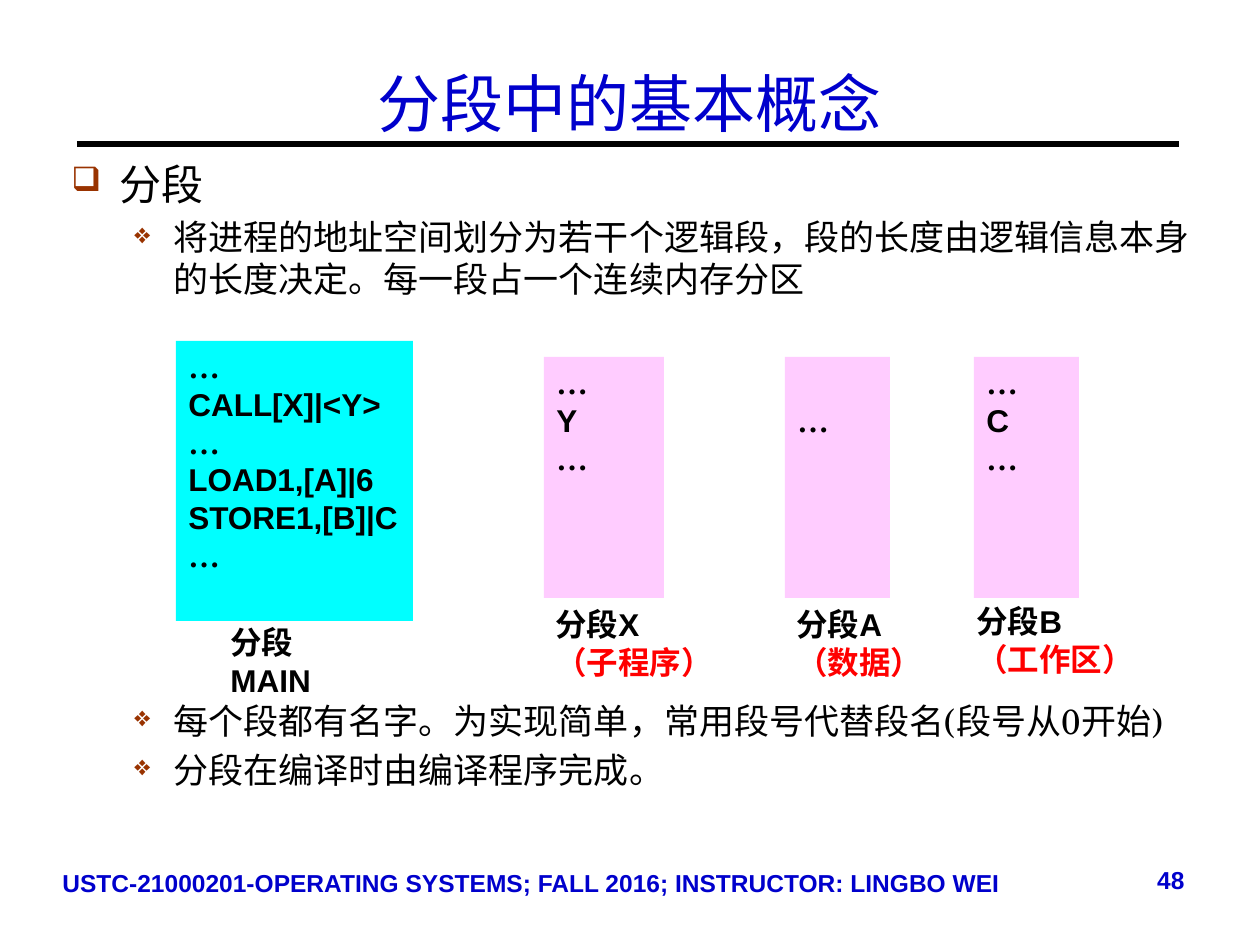
import dataclasses

import lxml.etree
import pptx
import pptx.dml.color
import pptx.enum.shapes
import pptx.enum.text
import pptx.oxml.ns
import pptx.util

PX = 914400 // 126
ALIGN = pptx.enum.text.PP_ALIGN
ANCHOR = pptx.enum.text.MSO_ANCHOR


@dataclasses.dataclass(frozen=True)
class Theme:
    """Colours, fonts and type sizes of the slide."""
    ink: str = "000000"
    blue: str = "0000CC"
    bullet: str = "993300"
    note: str = "FF0000"
    main_fill: str = "00FFFF"
    segment_fill: str = "FFCCFF"
    serif: str = "Times New Roman"
    sans: str = "Arial"
    body: str = "TeX Gyre Schola"
    title_size: int = 36
    topic_size: int = 24
    point_size: int = 20
    segment_size: int = 18
    footer_size: int = 14


THEME = Theme()


def px(*lengths):
    """Turn pixel lengths into EMU."""
    return [length * PX for length in lengths]


def rgb(colour):
    """Turn a hex string into a colour."""
    return pptx.dml.color.RGBColor.from_string(colour)


def write(paragraph, text, font, size, colour=THEME.ink, bold=False):
    """Fill a paragraph with text in one style."""
    paragraph.add_run().text = text
    style = paragraph.font
    style.name, style.size, style.bold = font, pptx.util.Pt(size), bold
    style.color.rgb = rgb(colour)


def paragraphs(frame, count):
    """Return the given number of paragraphs of a new text frame."""
    return [frame.paragraphs[0]] + [frame.add_paragraph() for _ in range(count - 1)]


def add_text(slide, box, anchor=ANCHOR.TOP):
    """Add a wrapping text box and return its frame."""
    frame = slide.shapes.add_textbox(*px(*box)).text_frame
    frame.word_wrap = True
    frame.vertical_anchor = anchor
    return frame


def add_label(slide, box, text, font, size, bold=True, align=ALIGN.LEFT, anchor=ANCHOR.TOP):
    """Add a single blue line of text."""
    paragraph = add_text(slide, box, anchor).paragraphs[0]
    paragraph.alignment = align
    write(paragraph, text, font, size, THEME.blue, bold)


def add_rule(slide, left, right, y):
    """Add the thick line under the title."""
    rule = slide.shapes.add_connector(
        pptx.enum.shapes.MSO_CONNECTOR.STRAIGHT, *px(left, y, right, y))
    rule.line.color.rgb = rgb(THEME.ink)
    rule.line.width = pptx.util.Pt(3)
    lxml.etree.SubElement(rule.element.spPr, pptx.oxml.ns.qn("a:effectLst"))


def set_bullet(paragraph, char, margin, hang):
    """Give a paragraph a hanging coloured bullet."""
    properties = paragraph.element.get_or_add_pPr() if hasattr(paragraph, "element") \
        else paragraph._p.get_or_add_pPr()
    properties.set("marL", str(margin * PX))
    properties.set("indent", str(-hang * PX))
    qn = pptx.oxml.ns.qn
    colour = lxml.etree.SubElement(properties, qn("a:buClr"))
    lxml.etree.SubElement(colour, qn("a:srgbClr"), val=THEME.bullet)
    lxml.etree.SubElement(properties, qn("a:buSzPct"), val="80000")
    lxml.etree.SubElement(properties, qn("a:buChar"), char=char)


def add_bullets(slide, box, items):
    """Add a list of (level, text) bullet items."""
    levels = [("❑", 48, 48, THEME.topic_size), ("❖", 102, 39, THEME.point_size)]
    frame = add_text(slide, box)
    for paragraph, (level, text) in zip(paragraphs(frame, len(items)), items):
        char, margin, hang, size = levels[level]
        paragraph.space_before = pptx.util.Pt(size // 5)
        set_bullet(paragraph, char, margin, hang)
        write(paragraph, text, THEME.body, size)


def add_segment(slide, box, fill, lines, skipped=0):
    """Add a memory segment whose text starts after some skipped lines."""
    segment = slide.shapes.add_shape(pptx.enum.shapes.MSO_SHAPE.RECTANGLE, *px(*box))
    segment.shadow.inherit = False
    segment.fill.solid()
    segment.fill.fore_color.rgb = rgb(fill)
    segment.line.fill.background()
    frame = segment.text_frame
    frame.word_wrap = True
    frame.vertical_anchor = ANCHOR.TOP
    frame.margin_top, frame.margin_right = px(6 + 38 * skipped, 6)
    for paragraph, line in zip(paragraphs(frame, len(lines)), lines):
        paragraph.alignment = ALIGN.LEFT
        font = THEME.serif if line == "…" else THEME.sans
        write(paragraph, line, font, THEME.segment_size, bold=True)


def add_caption(slide, box, name, role=None):
    """Add a segment name with its role in red below."""
    lines = [(name, THEME.ink)] + ([(role, THEME.note)] if role else [])
    frame = add_text(slide, box)
    for paragraph, (text, colour) in zip(paragraphs(frame, len(lines)), lines):
        write(paragraph, text, THEME.sans, THEME.segment_size, colour, bold=True)


def main():
    """Build the slide and save it."""
    deck = pptx.Presentation()
    deck.slide_width, deck.slide_height = px(1260, 945)
    slide = deck.slides.add_slide(deck.slide_layouts[6])

    add_rule(slide, 77, 1179, 144)
    add_label(slide, (63, 24, 1134, 157), "分段中的基本概念", THEME.serif,
              THEME.title_size, False, ALIGN.CENTER, ANCHOR.MIDDLE)
    add_bullets(slide, (59, 152, 1150, 160), [
        (0, "分段"),
        (1, "将进程的地址空间划分为若干个逻辑段，段的长度由逻辑信息本身的长度决定。每一段占一个连续内存分区"),
    ])
    add_bullets(slide, (59, 693, 1150, 155), [
        (1, "每个段都有名字。为实现简单，常用段号代替段名(段号从0开始)"),
        (1, "分段在编译时由编译程序完成。"),
    ])

    add_segment(slide, (176, 341, 237, 280), THEME.main_fill,
                ["…", "CALL[X]|<Y>", "…", "LOAD1,[A]|6", "STORE1,[B]|C", "…"])
    add_caption(slide, (218, 617, 165, 50), "分段MAIN")
    segments = [
        (544, 120, ["…", "Y", "…"], 0, (543, 599, 186, 89), "分段X", "（子程序）"),
        (785, 105, ["…"], 1, (784, 599, 154, 89), "分段A", "（数据）"),
        (974, 105, ["…", "C", "…"], 0, (964, 596, 186, 89), "分段B", "（工作区）"),
    ]
    for left, width, lines, skipped, caption_box, name, role in segments:
        add_segment(slide, (left, 357, width, 241), THEME.segment_fill, lines, skipped)
        add_caption(slide, caption_box, name, role)

    add_label(slide, (50, 862, 993, 66),
              "USTC-21000201-OPERATING SYSTEMS; FALL 2016; INSTRUCTOR: LINGBO WEI",
              THEME.sans, THEME.footer_size)
    add_label(slide, (1070, 859, 127, 66), "48", THEME.sans, THEME.footer_size,
              align=ALIGN.RIGHT)
    deck.save("out.pptx")


if __name__ == "__main__":
    main()
